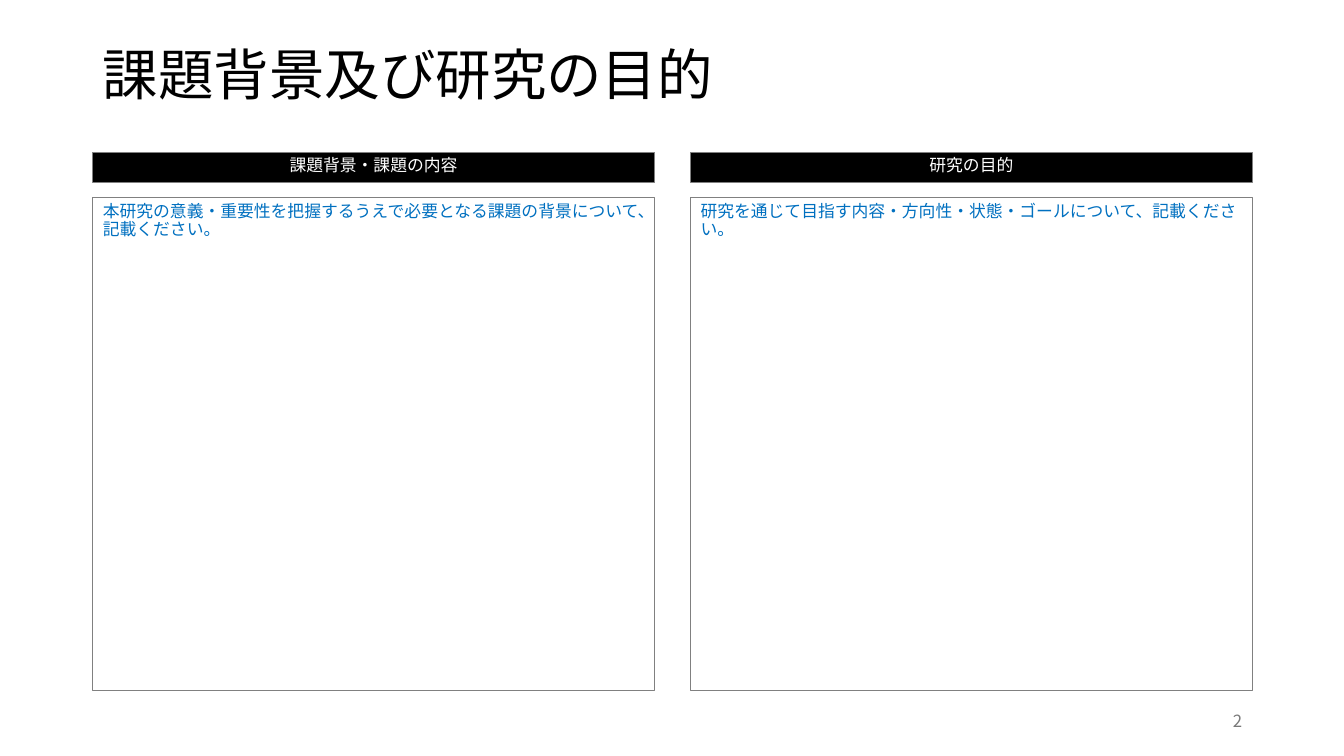
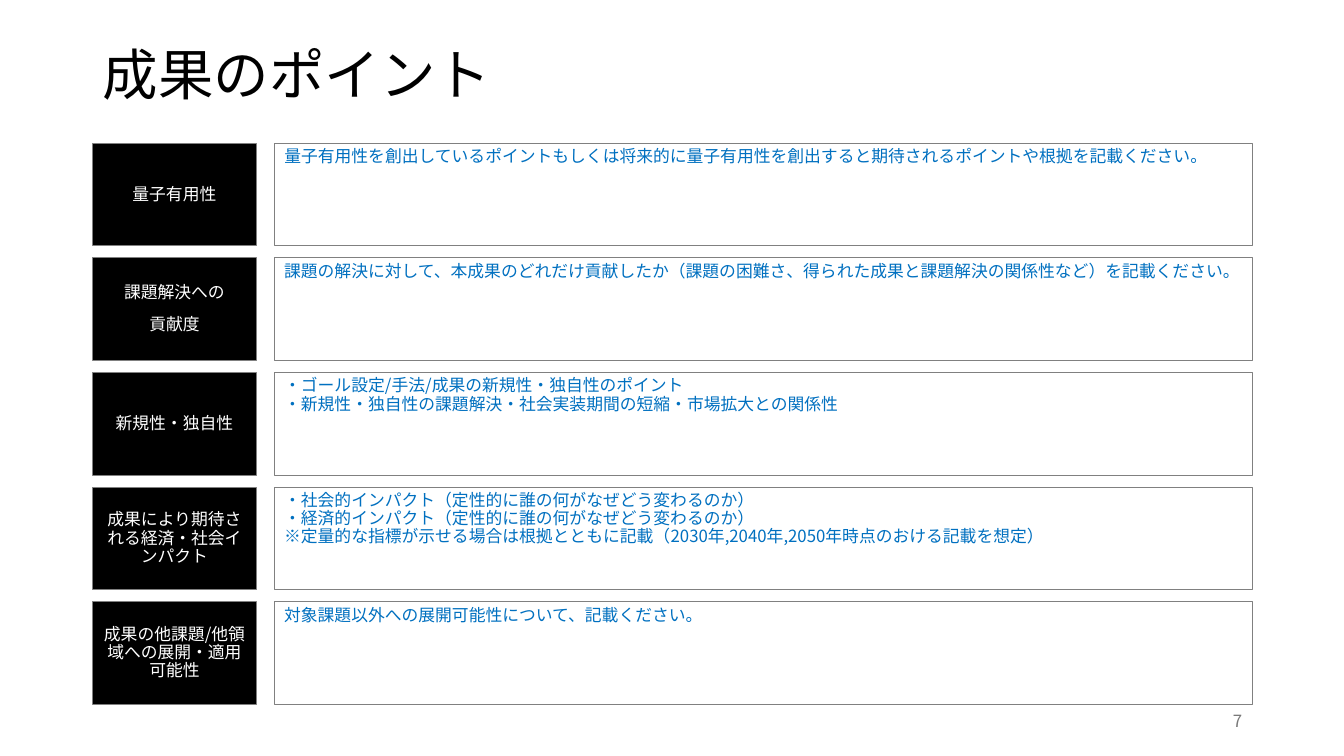
from typing import NamedTuple

from lxml.etree import SubElement
from pptx import Presentation
from pptx.dml.color import RGBColor
from pptx.enum.lang import MSO_LANGUAGE_ID as Language
from pptx.enum.shapes import MSO_SHAPE as Shape
from pptx.enum.text import MSO_ANCHOR as Anchor, MSO_AUTO_SIZE as AutoSize, PP_ALIGN as Align
from pptx.oxml.ns import qn
from pptx.util import Inches, Pt

BLACK = RGBColor(0x00, 0x00, 0x00)
WHITE = RGBColor(0xFF, 0xFF, 0xFF)
BLUE = RGBColor(0x00, 0x70, 0xC0)
BORDER_GRAY = RGBColor(0x80, 0x80, 0x80)
NUMBER_GRAY = RGBColor(0x79, 0x79, 0x79)
FONT = "Noto Sans CJK JP"


class Box(NamedTuple):
    left: float
    top: float
    width: float
    height: float


TITLE_BOX = Box(0.92, 0.4, 11.5, 0.73)
NUMBER_BOX = Box(9.42, 6.95, 3, 0.4)
COLUMNS_BOX = Box(0.92, 1.51, 11.5, 5.34)
ROWS_BOX = Box(0.92, 1.42, 11.5, 5.57)

COLUMNS = [
    ("課題背景・課題の内容",
     "本研究の意義・重要性を把握するうえで必要となる課題の背景について、記載ください。"),
    ("研究の目的",
     "研究を通じて目指す内容・方向性・状態・ゴールについて、記載ください。"),
]
# Each row: label paragraphs, then the lines of its guidance text
ROWS = [
    (["量子有用性"],
     "量子有用性を創出しているポイントもしくは将来的に量子有用性を創出すると期待されるポイントや根拠を記載ください。"),
    (["課題解決への", "貢献度"],
     "課題の解決に対して、本成果のどれだけ貢献したか（課題の困難さ、得られた成果と課題解決の関係性など）を記載ください。"),
    (["新規性・独自性"],
     "・ゴール設定/手法/成果の新規性・独自性のポイント\n"
     "・新規性・独自性の課題解決・社会実装期間の短縮・市場拡大との関係性"),
    (["成果により期待される経済・社会インパクト"],
     "・社会的インパクト（定性的に誰の何がなぜどう変わるのか）\n"
     "・経済的インパクト（定性的に誰の何がなぜどう変わるのか）\n"
     "※定量的な指標が示せる場合は根拠とともに記載（2030年,2040年,2050年時点のおける記載を想定）"),
    (["成果の他課題/他領域への展開・適用可能性"],
     "対象課題以外への展開可能性について、記載ください。"),
]


def place(shape, box):
    shape.left, shape.top, shape.width, shape.height = map(Inches, box)


def add_run(paragraph, text, size, color):
    run = paragraph.add_run()
    run.text = text
    font = run.font
    font.size = Pt(size)
    font.color.rgb = color
    font.name = FONT
    font.language_id = Language.JAPANESE
    east_asian = SubElement(font._element, qn("a:ea"))
    east_asian.set("typeface", FONT)


def write(shape, paragraphs, color, size=12, align=Align.LEFT, anchor=Anchor.TOP, spacing=0.9):
    """Fill a shape with unbulleted paragraphs; a newline is a line break."""
    frame = shape.text_frame
    frame.word_wrap = True
    frame.auto_size = AutoSize.NONE
    frame.vertical_anchor = anchor
    for index, text in enumerate(paragraphs):
        paragraph = frame.add_paragraph() if index else frame.paragraphs[0]
        properties = paragraph._p.get_or_add_pPr()
        properties.set("marL", "0")
        properties.set("indent", "0")
        SubElement(properties, qn("a:buNone"))
        paragraph.alignment = align
        paragraph.line_spacing = spacing
        paragraph.space_before = Pt(10 if index else 0)
        for number, line in enumerate(text.split("\n")):
            if number:
                paragraph.add_line_break()
            add_run(paragraph, line, size, color)


def add_rectangle(slide, box):
    shape = slide.shapes.add_shape(Shape.RECTANGLE, *map(Inches, box))
    shape.shadow.inherit = False
    return shape


def outline(shape):
    shape.line.color.rgb = BORDER_GRAY
    shape.line.width = Pt(0.75)


def add_label(slide, box, paragraphs, anchor):
    shape = add_rectangle(slide, box)
    shape.fill.solid()
    shape.fill.fore_color.rgb = BLACK
    outline(shape)
    write(shape, paragraphs, WHITE, align=Align.CENTER, anchor=anchor)


def add_panel(slide, box, text, in_body):
    """Outlined guidance text, in the body placeholder or a new rectangle."""
    if in_body:
        shape = slide.placeholders[1]
        place(shape, box)
    else:
        shape = add_rectangle(slide, box)
    shape.fill.background()
    outline(shape)
    write(shape, [text], BLUE)


def add_columns(slide, box):
    gap, header_height, panel_offset = 0.36, 0.3, 0.45
    width = (box.width - gap) / 2
    for index, (header, text) in enumerate(COLUMNS):
        left = box.left + index * (width + gap)
        panel = Box(left, box.top + panel_offset, width, box.height - panel_offset)
        add_panel(slide, panel, text, index == 0)
        add_label(slide, Box(left, box.top, width, header_height), [header], Anchor.TOP)


def add_rows(slide, box):
    label_width, panel_offset, height = 1.62, 1.8, 1.02
    pitch = (box.height - height) / (len(ROWS) - 1)
    for index, (label, text) in enumerate(ROWS):
        top = box.top + index * pitch
        panel = Box(box.left + panel_offset, top, box.width - panel_offset, height)
        add_panel(slide, panel, text, index == 0)
        add_label(slide, Box(box.left, top, label_width, height), label, Anchor.MIDDLE)


def add_titled_slide(presentation, title, number):
    slide = presentation.slides.add_slide(presentation.slide_layouts[1])
    place(slide.shapes.title, TITLE_BOX)
    write(slide.shapes.title, [title], BLACK, size=39.6, anchor=Anchor.MIDDLE)
    number_box = slide.shapes.add_textbox(*map(Inches, NUMBER_BOX))
    write(number_box, [number], NUMBER_GRAY, align=Align.RIGHT, anchor=Anchor.MIDDLE, spacing=1.0)
    return slide


def main():
    presentation = Presentation()
    presentation.slide_width = Inches(13.33)
    presentation.slide_height = Inches(7.5)
    add_columns(add_titled_slide(presentation, "課題背景及び研究の目的", "2"), COLUMNS_BOX)
    add_rows(add_titled_slide(presentation, "成果のポイント", "7"), ROWS_BOX)
    presentation.save("out.pptx")


if __name__ == "__main__":
    main()
